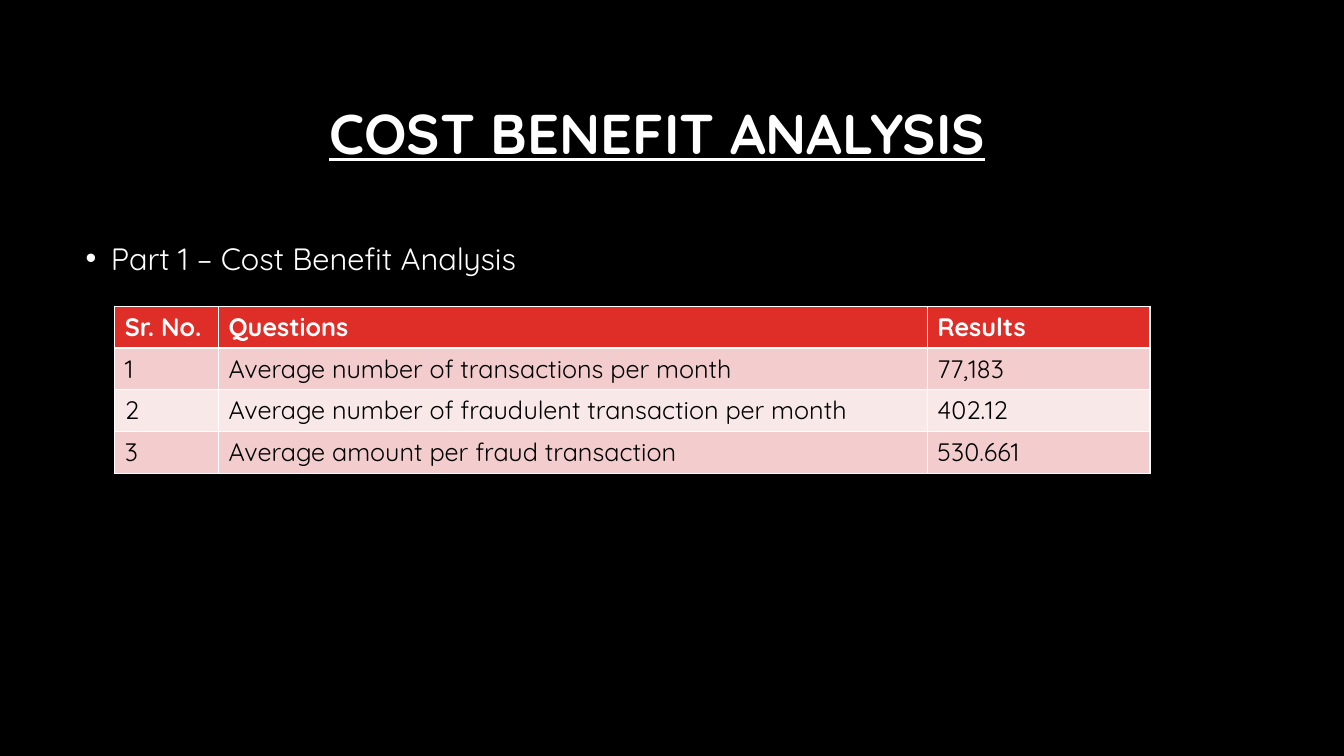
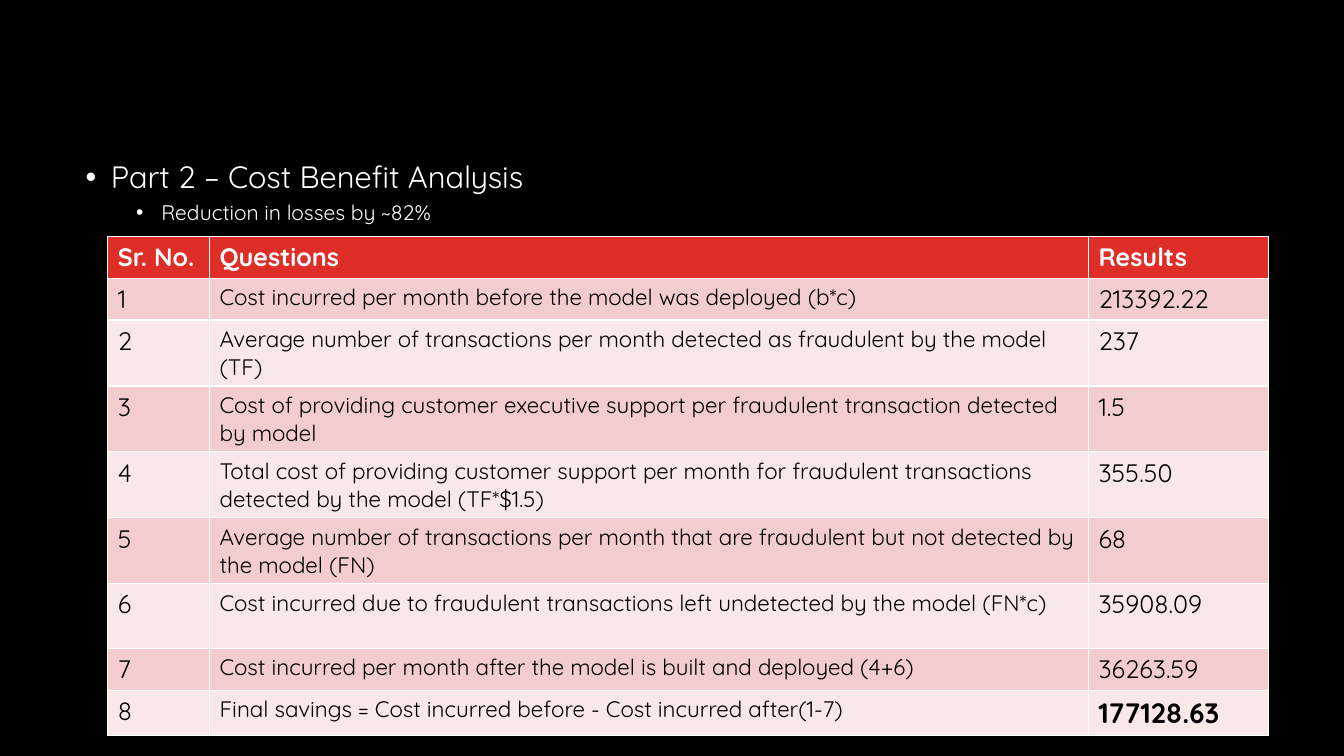
from lxml import etree
from pptx import Presentation
from pptx import util as u
from pptx.dml import color
from pptx.enum import text
from pptx.oxml import ns

Pt = u.Pt
FACE = "Quicksand"
BLACK, WHITE, RED = "000000", "FFFFFF", "DF2E28"
BANDS = ["F3CDCD", "F9E8E8"]
HEAD = ["Sr. No.", "Questions", "Results"]

# Formats
TITLE = {"size": Pt(40), "bold": True, "underline": True}
TOP = {"size": Pt(18), "bold": True}
CELL = {"size": Pt(18), "bold": False}
SMALL = {"size": Pt(16), "bold": False}
SUM = {"size": Pt(20), "bold": True}
LEVELS = [  # size, space before, indent
    (22, 10, 18),
    (15, 5, 54),
]

# Content of each slide; a row is question, result, height
pages = [
    {
        "title": "COST BENEFIT ANALYSIS",
        "list": ["Part 1 – Cost Benefit Analysis"],
        "body": (54, 172.8, 852, 29.5),
        "space": 0.8,
        "spot": (82, 218.8),
        "cols": [74.2, 506.2, 159.1],
        "ask": CELL,
        "last": CELL,
        "rows": [
            ("Average number of transactions per month", "77,183", 29.8),
            ("Average number of fraudulent transaction per month", "402.12", 29.8),
            ("Average amount per fraud transaction", "530.661", 29.8),
        ],
    },
    {
        "title": None,
        "list": ["Part 2 – Cost Benefit Analysis", "Reduction in losses by ~82%"],
        "body": (54, 112.3, 852, 57),
        "space": 0.9,
        "spot": (77, 169),
        "cols": [72.7, 627.8, 128.9],
        "ask": SMALL,
        "last": SUM,
        "rows": [
            ("Cost incurred per month before the model was deployed (b*c)",
             "213392.22", 29.8),
            ("Average number of transactions per month detected as fraudulent "
             "by the model (TF)", "237", 47),
            ("Cost of providing customer executive support per fraudulent "
             "transaction detected by model", "1.5", 47),
            ("Total cost of providing customer support per month for fraudulent "
             "transactions detected by the model (TF*$1.5)", "355.50", 47),
            ("Average number of transactions per month that are fraudulent but "
             "not detected by the model (FN)", "68", 47),
            ("Cost incurred due to fraudulent transactions left undetected by "
             "the model (FN*c)", "35908.09", 46.4),
            ("Cost incurred per month after the model is built and deployed (4+6)",
             "36263.59", 29.8),
            ("Final savings = Cost incurred before - Cost incurred after(1-7)",
             "177128.63", 32.2),
        ],
    },
]


def paint(part, code):
    part.rgb = color.RGBColor.from_string(code)


def write(para, words, form, code):
    run = para.add_run()
    run.text = words
    for name, value in {"name": FACE, **form}.items():
        setattr(run.font, name, value)
    paint(run.font.color, code)


# Deck with a black master
prs = Presentation()
prs.slide_width, prs.slide_height = Pt(960), Pt(540)
back = prs.slide_master.background.fill
back.solid()
paint(back.fore_color, BLACK)

for page in pages:
    slide = prs.slides.add_slide(prs.slide_layouts[1])
    title, body = slide.shapes.title, slide.placeholders[1]

    # Title
    if page["title"]:
        title.left, title.top, title.width, title.height = map(Pt, (228, 60.5, 678, 73.5))
        frame = title.text_frame
        frame.auto_size = text.MSO_AUTO_SIZE.NONE
        frame.vertical_anchor = text.MSO_ANCHOR.MIDDLE
        para = frame.paragraphs[0]
        para.alignment, para.line_spacing = text.PP_ALIGN.LEFT, 0.9
        write(para, page["title"], TITLE, WHITE)
    else:
        title.element.getparent().remove(title.element)

    # Bullet list
    body.left, body.top, body.width, body.height = map(Pt, page["body"])
    frame = body.text_frame
    frame.auto_size = text.MSO_AUTO_SIZE.NONE
    for level, words in enumerate(page["list"]):
        size, before, left = LEVELS[level]
        para = frame.add_paragraph() if level else frame.paragraphs[0]
        para.level = level
        para.line_spacing, para.space_before = page["space"], Pt(before)
        props = para._p.get_or_add_pPr()
        props.set("marL", str(Pt(left)))
        props.set("indent", str(Pt(-18)))
        etree.SubElement(props, ns.qn("a:buFont")).set("typeface", "Arial")
        etree.SubElement(props, ns.qn("a:buChar")).set("char", "•")
        write(para, words, {"size": Pt(size)}, WHITE)

    # Table: red head, then two pinks in turn
    cols, rows = page["cols"], page["rows"]
    highs = [29.8] + [row[2] for row in rows]
    left, top = page["spot"]
    grid = slide.shapes.add_table(len(highs), len(cols), Pt(left), Pt(top),
                                  Pt(sum(cols)), Pt(sum(highs))).table
    for col, width in zip(grid.columns, cols):
        col.width = Pt(width)
    for r, high in enumerate(highs):
        grid.rows[r].height = Pt(high)
        if r == 0:
            line, forms, shade, ink = HEAD, [TOP] * 3, RED, WHITE
        else:
            line = [str(r), *rows[r - 1][:2]]
            end = page["last"] if r == len(rows) else CELL
            forms, shade, ink = [CELL, page["ask"], end], BANDS[(r - 1) % 2], BLACK
        for c, (words, form) in enumerate(zip(line, forms)):
            cell = grid.cell(r, c)
            cell.fill.solid()
            paint(cell.fill.fore_color, shade)
            write(cell.text_frame.paragraphs[0], words, form, ink)

prs.save("out.pptx")
